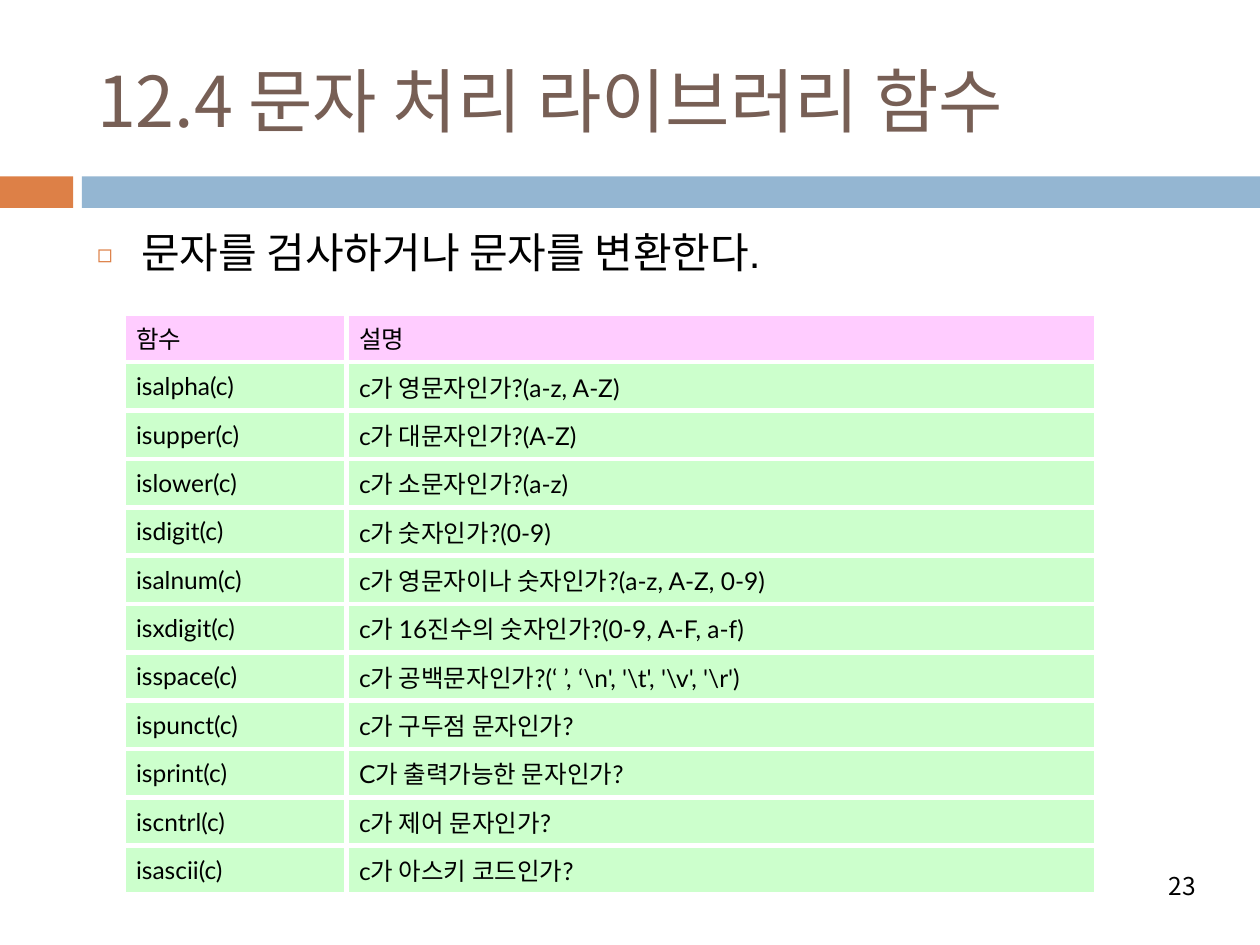
from typing import NamedTuple

from lxml import etree
from pptx import Presentation
from pptx.dml.color import RGBColor
from pptx.enum.shapes import MSO_SHAPE
from pptx.enum.text import MSO_ANCHOR, MSO_AUTO_SIZE, PP_ALIGN
from pptx.oxml.ns import qn
from pptx.util import Inches, Pt

RECTANGLE = MSO_SHAPE.RECTANGLE
TOP, MIDDLE = MSO_ANCHOR.TOP, MSO_ANCHOR.MIDDLE
LEFT, RIGHT, JUSTIFY = PP_ALIGN.LEFT, PP_ALIGN.RIGHT, PP_ALIGN.JUSTIFY
NO_AUTOFIT = MSO_AUTO_SIZE.NONE

KOREAN_FONT = "Noto Sans CJK KR"
ORANGE, BLUE, BROWN = "DD8047", "94B6D2", "775F55"
PINK, GREEN, BLACK, WHITE = "FFCCFF", "CCFFCC", "000000", "FFFFFF"


class Box(NamedTuple):
    left: float
    top: float
    width: float
    height: float

    def lengths(self):
        return [Inches(value) for value in self]


class Band(NamedTuple):
    box: Box
    color: str


class Function(NamedTuple):
    call: str
    description: str


BANDS = [
    Band(Box(0, 1.4, 0.58, 0.25), ORANGE),
    Band(Box(0.65, 1.4, 9.35, 0.25), BLUE),
]
TITLE_BOX = Box(0.67, 0.25, 8.92, 1.08)
BODY_BOX = Box(0.67, 1.75, 8.92, 4.92)
TABLE_BOX = Box(0.98, 2.49, 7.72, 4.02)
PAGE_NUMBER_BOX = Box(6.81, 6.83, 2.78, 0.4)
COLUMN_WIDTHS = [1.77, 5.95]
HEADER_HEIGHT, ROW_HEIGHT = 0.36, 0.33

HEADER = Function("함수", "설명")
FUNCTIONS = [
    Function("isalpha(c)", "c가 영문자인가?(a-z, A-Z)"),
    Function("isupper(c)", "c가 대문자인가?(A-Z)"),
    Function("islower(c)", "c가 소문자인가?(a-z)"),
    Function("isdigit(c)", "c가 숫자인가?(0-9)"),
    Function("isalnum(c)", "c가 영문자이나 숫자인가?(a-z, A-Z, 0-9)"),
    Function("isxdigit(c)", "c가 16진수의 숫자인가?(0-9, A-F, a-f)"),
    Function("isspace(c)", r"c가 공백문자인가?(‘ ’, ‘\n', '\t', '\v', '\r')"),
    Function("ispunct(c)", "c가 구두점 문자인가?"),
    Function("isprint(c)", "C가 출력가능한 문자인가?"),
    Function("iscntrl(c)", "c가 제어 문자인가?"),
    Function("isascii(c)", "c가 아스키 코드인가?"),
]


def rgb(color: str) -> RGBColor:
    return RGBColor.from_string(color)


def write(frame, text: str, *, size: float, font: str = KOREAN_FONT,
          color: str = BLACK, align=LEFT, anchor=MIDDLE):
    """Fill a text frame with one formatted paragraph and return it."""
    frame.word_wrap = True
    frame.vertical_anchor = anchor
    paragraph = frame.paragraphs[0]
    paragraph.alignment = align
    paragraph.space_before = Pt(0)
    run = paragraph.add_run()
    run.text = text
    run.font.size = Pt(size)
    run.font.name = font
    run.font.color.rgb = rgb(color)
    east_asian = etree.SubElement(run.font._element, qn("a:ea"))
    east_asian.set("typeface", KOREAN_FONT)
    return paragraph


def place(shape, box: Box) -> None:
    shape.left, shape.top, shape.width, shape.height = box.lengths()


def add_bullet(paragraph, character: str, color: str, percent: int, indent: float) -> None:
    properties = paragraph._p.get_or_add_pPr()
    properties.set("marL", str(Inches(indent)))
    properties.set("indent", str(-Inches(indent)))
    bullet_color = etree.SubElement(properties, qn("a:buClr"))
    etree.SubElement(bullet_color, qn("a:srgbClr")).set("val", color)
    etree.SubElement(properties, qn("a:buSzPct")).set("val", str(percent * 1000))
    etree.SubElement(properties, qn("a:buFont")).set("typeface", KOREAN_FONT)
    etree.SubElement(properties, qn("a:buChar")).set("char", character)


def add_band(slide, band: Band) -> None:
    shape = slide.shapes.add_shape(RECTANGLE, *band.box.lengths())
    shape.shadow.inherit = False
    shape.fill.solid()
    shape.fill.fore_color.rgb = rgb(band.color)
    shape.line.fill.background()


def set_borders(cell, color: str, width: float) -> None:
    properties = cell._tc.get_or_add_tcPr()
    for side in ("lnL", "lnR", "lnT", "lnB"):
        line = etree.SubElement(properties, qn(f"a:{side}"))
        line.set("w", str(Pt(width)))
        fill = etree.SubElement(line, qn("a:solidFill"))
        etree.SubElement(fill, qn("a:srgbClr")).set("val", color)


def add_function_table(slide, rows: list[Function]) -> None:
    table = slide.shapes.add_table(
        len(rows), len(COLUMN_WIDTHS), *TABLE_BOX.lengths()).table
    table.first_row = False
    table.horz_banding = False
    for column, width in zip(table.columns, COLUMN_WIDTHS):
        column.width = Inches(width)
    for index, function in enumerate(rows):
        is_header = index == 0
        table.rows[index].height = Inches(HEADER_HEIGHT if is_header else ROW_HEIGHT)
        for cell, text in zip(table.rows[index].cells, function):
            set_borders(cell, WHITE, 3)
            cell.fill.solid()
            cell.fill.fore_color.rgb = rgb(PINK if is_header else GREEN)
            cell.vertical_anchor = MIDDLE
            write(cell.text_frame, text, size=14, font="Lato", align=JUSTIFY)


def main() -> None:
    presentation = Presentation()
    presentation.slide_width, presentation.slide_height = Inches(10), Inches(7.5)
    slide = presentation.slides.add_slide(presentation.slide_layouts[1])

    for band in BANDS:
        add_band(slide, band)

    title, body = slide.shapes.title, slide.placeholders[1]
    place(title, TITLE_BOX)
    title.text_frame.auto_size = NO_AUTOFIT
    write(title.text_frame, "12.4 문자 처리 라이브러리 함수", size=40, color=BROWN)

    place(body, BODY_BOX)
    body.text_frame.auto_size = NO_AUTOFIT
    summary = write(body.text_frame, "문자를 검사하거나 문자를 변환한다.",
                    size=24, font="Arial", anchor=TOP)
    add_bullet(summary, "◻", ORANGE, percent=60, indent=0.35)

    add_function_table(slide, [HEADER, *FUNCTIONS])

    page_number = slide.shapes.add_textbox(*PAGE_NUMBER_BOX.lengths())
    write(page_number.text_frame, "23", size=14, align=RIGHT)

    presentation.save("out.pptx")


if __name__ == "__main__":
    main()
